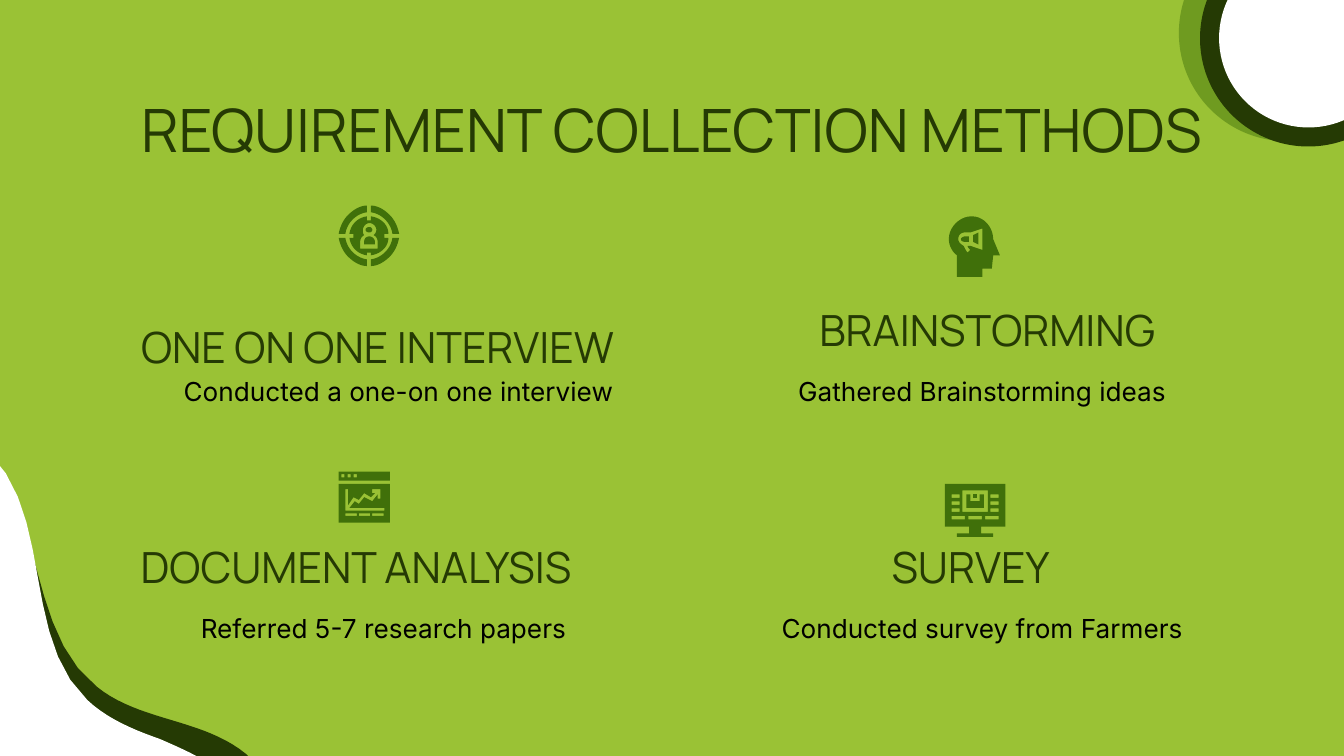
"""Build the slide on requirement collection methods."""
from dataclasses import dataclass

from lxml import etree
from pptx import Presentation
from pptx.dml.color import RGBColor
from pptx.enum.shapes import MSO_SHAPE
from pptx.enum.text import MSO_ANCHOR, PP_ALIGN
from pptx.oxml.ns import qn
from pptx.util import Cm, Pt

OVAL = MSO_SHAPE.OVAL
TOP, BOTTOM = MSO_ANCHOR.TOP, MSO_ANCHOR.BOTTOM
CENTER = PP_ALIGN.CENTER
GRID = Cm(0.0254)
STEPS = 10


@dataclass(frozen=True)
class Theme:
    """Colours, fonts and type sizes."""
    lime: str = "9AC235"
    leaf: str = "40700A"
    dark: str = "253A04"
    white: str = "FFFFFF"
    black: str = "000000"
    head: str = "Manrope"
    body: str = "Inter"
    title: int = 32
    label: int = 23
    note: int = 14


def bar(x, y, w, h):
    """Return the corners of a rectangle."""
    return [(x, y), (x + w, y), (x + w, y + h), (x, y + h)]


def trace(path):
    """Turn points and cubic curves parted by semicolons into corners."""
    spots = []
    for part in path.split(";"):
        nums = [float(n) for n in part.split()]
        ends = list(zip(nums[::2], nums[1::2]))
        if len(ends) == 1:
            spots += ends
            continue
        pulls = [spots[-1], *ends]
        for step in range(1, STEPS + 1):
            t = step / STEPS
            mix = ((1 - t) ** 3, 3 * t * (1 - t) ** 2, 3 * t * t * (1 - t), t ** 3)
            spots.append(tuple(sum(m * p[i] for m, p in zip(mix, pulls)) for i in (0, 1)))
    return spots


def write(box, text, font, size, color, anchor=TOP):
    """Put one centred line of formatted text in a box."""
    frame = box.text_frame
    frame.word_wrap = True
    frame.vertical_anchor = anchor
    frame.margin_left = frame.margin_right = Cm(0.25)
    frame.margin_top = frame.margin_bottom = Cm(0.25)
    para = frame.paragraphs[0]
    para.alignment = CENTER
    run = para.add_run()
    run.text = text
    run.font.name, run.font.size = font, Pt(size)
    run.font.color.rgb = RGBColor.from_string(color)


class Deck:
    """Hold the theme and the current slide."""

    def __init__(self, theme):
        """Open a file with one blank slide."""
        self.theme = theme
        self.file = Presentation()
        self.file.slide_width, self.file.slide_height = Cm(25.4), Cm(14.29)
        self.slide = self.file.slides.add_slide(self.file.slide_layouts[6])
        self.paint(self.slide.background.fill, theme.lime)

    def paint(self, fill, color):
        """Set a solid fill."""
        fill.solid()
        fill.fore_color.rgb = RGBColor.from_string(color)

    def finish(self, shape, color):
        """Give a shape a flat fill with no line or shadow."""
        shape.shadow.inherit = False
        shape.line.fill.background()
        self.paint(shape.fill, color)
        return shape

    def text(self, x, y, w, h, text, **style):
        """Add a text box."""
        box = self.slide.shapes.add_textbox(Cm(x), Cm(y), Cm(w), Cm(h))
        write(box, text, **style)

    def disc(self, x, y, size, color, alpha=100):
        """Add a circle, see-through if alpha is below 100."""
        disc = self.slide.shapes.add_shape(OVAL, Cm(x), Cm(y), Cm(size), Cm(size))
        self.finish(disc, color)
        if alpha < 100:
            tint = next(disc.fill._xPr.iter(qn("a:srgbClr")))
            etree.SubElement(tint, qn("a:alpha")).set("val", str(alpha * 1000))

    def outline(self, home, loops, color):
        """Add one freeform whose inner loops are holes."""
        pen = None
        for loop in loops:
            spots = [(x * GRID, y * GRID) for x, y in loop]
            if pen is None:
                pen = home.build_freeform(*spots[0])
            else:
                pen.move_to(*spots[0])
            pen.add_line_segments(spots[1:], close=True)
        self.finish(pen.convert_to_shape(), color)

    def group(self, parts, colors):
        """Add a group of freeforms."""
        home = self.slide.shapes.add_group_shape().shapes
        for loops, color in zip(parts, colors):
            self.outline(home, loops, color)

    def icon(self, parts):
        """Add a group of freeforms in the leaf colour."""
        self.group(parts, [self.theme.leaf] * len(parts))


def waves():
    """Return the dark and white waves of the lower left corner."""
    dark = ("-49 318; -77 312 -109 320 -128 342; -151 300; -173 379 -187 461 -193 544;"
            "-195 569 -195 597 -179 616; -168 631 -151 637 -133 641; -125 643 -116 645 -108 646;"
            "-28 654 52 656 132 649; 158 647 189 641 199 616; 207 598 198 575 183 561;"
            "167 548 148 542 128 536; 108 530 88 524 72 511; 19 470 35 377 -17 334;"
            "-26 326 -37 321 -49 318")
    white = ("-39 318; -66 310 -99 315 -120 335; -138 291; -168 368 -189 448 -202 530;"
             "-206 555 -209 582 -195 604; -185 619 -169 627 -151 632; -143 635 -134 637 -126 639;"
             "-48 655 33 663 113 663; 139 664 170 660 182 637; 192 619 185 596 171 581;"
             "157 566 137 558 119 550; 99 543 80 535 65 521; 16 475 40 384 -8 337;"
             "-16 328 -27 322 -39 318")
    return [[trace(dark)], [trace(white)]]


def chart():
    """Return the browser window with a line chart."""
    dots = [bar(254 + 4.6 * i, 353, 2.3, 2.3) for i in range(3)]
    feet = [bar(257 + 10 * i, 382, 8.5, 2) for i in range(3)]
    line = trace("259 364; 259 376; 263 370; 267 372; 271 367; 276 370; 279 367; 277 367;"
                 "277 364; 283 364; 283 371; 281 371; 281 368; 277 373; 271 370; 267 375;"
                 "264 373; 260 378; 286 378; 286 380; 257 380; 257 364")
    return [[bar(252, 351, 38, 6.7), *dots], [bar(252, 360, 38, 29), line, *feet]]


def target():
    """Return the person within a target."""
    head = trace("275 169; 273 169 272 170 272 171; 272 172 273 173 275 173;"
                 "276 173 277 172 277 171; 277 170 276 169 275 169")
    chest = trace("275 176; 272 176 271 178 271 180; 271 182; 279 182; 279 180;"
                  "279 178 277 176 275 176")
    hole = trace("275 166; 277 166 280 168 280 171; 280 173 279 174 278 175;"
                 "280 176 281 178 281 180; 281 185; 268 185; 268 180; 268 178 269 176 271 175;"
                 "270 174 270 173 270 171; 270 169 272 166 275 166")
    ring = trace("273 161; 266 162 261 167 260 174; 263 174; 263 177; 260 177;"
                 "261 184 266 189 273 190; 273 188; 276 188; 276 190; 283 189 289 184 289 177;"
                 "286 177; 286 174; 289 174; 289 167 283 162 276 161; 276 164; 273 164")
    arc = trace("273 153; 268 153 263 156 259 160; 255 164 253 169 252 174; 257 174;"
                "258 166 265 159 273 158")
    arcs = [[[(549 - x if right else x, 351 - y if low else y) for x, y in arc]]
            for right in (True, False) for low in (True, False)]
    return [[head], [chest], [ring, hole], *arcs]


def screen():
    """Return the monitor with a parcel and lists."""
    parcel = trace("719 368; 719 378; 732 378; 732 368; 729 368; 729 373; 722 373; 722 368")
    case = trace("703 360; 703 392; 721 392; 721 397; 712 397; 712 399.5; 739 399.5; 739 397;"
                 "730 397; 730 392; 748 392; 748 360")
    rows = [bar(x, 368 + 5.2 * i, 6, 2.5) for x in (708, 737) for i in range(3)]
    feet = [bar(708 + 12.5 * i, 384, 10, 2.5) for i in range(3)]
    return [[parcel], [bar(724, 368, 3, 2.5)], [case, bar(716, 365, 19, 16), *rows, *feet]]


def mind():
    """Return the head with a megaphone."""
    grip = trace("718 176; 717 176 715 177 715 178; 715 179 716 180 718 180; 721 180; 721 176")
    hole = trace("731 170; 731 186; 722 183; 720 183; 720 184 721 185 722 186; 720 188;"
                 "719 187 718 185 717 183; 715 182 713 180 713 178; 713 175 715 173 718 173;"
                 "722 173")
    face = trace("723 161; 714 161 706 169 706 178; 706 182 708 187 712 190; 712 206; 731 206;"
                 "731 200; 738 200; 739 190; 744 190; 739 178; 739 169 732 161 723 161")
    horn = trace("728 173; 724 175; 724 180; 728 182")
    return [[grip], [face, hole], [horn]]


def main():
    """Draw the slide and save it."""
    theme = Theme()
    deck = Deck(theme)
    deck.group(waves(), (theme.dark, theme.white))
    deck.disc(22.28, -1.42, 4.09, theme.leaf, alpha=47)
    deck.disc(22.68, -1.32, 4.09, theme.dark)
    deck.disc(23.04, -0.97, 3.38, theme.white)

    head = {"font": theme.head, "color": theme.dark}
    label = {**head, "size": theme.label, "anchor": BOTTOM}
    note = {"font": theme.body, "color": theme.black, "size": theme.note}
    deck.text(0.84, 1.5, 23.72, 1.6, "REQUIREMENT COLLECTION METHODS", size=theme.title, **head)
    cards = (
        (5.82, "ONE ON ONE INTERVIEW", 2.18, 9.93, 1.47,
         "Conducted a one-on one interview", 2.95, 9.17),
        (5.82, "BRAINSTORMING", 13.28, 10.77, 1.14,
         "Gathered Brainstorming ideas", 13.28, 10.57),
        (10.31, "DOCUMENT ANALYSIS", 1.35, 10.77, 1.14,
         "Referred 5-7 research papers", 2.41, 9.68),
        (10.31, "SURVEY", 13.28, 10.13, 1.14,
         "Conducted survey from Farmers", 13.28, 10.57),
    )
    for y, name, left, wide, high, line, x, w in cards:
        deck.text(x, y + 1.02, w, 1.47, line, **note)
        deck.text(left, y, wide, high, name, **label)
    for parts in (chart(), target(), screen(), mind()):
        deck.icon(parts)
    deck.file.save("out.pptx")


if __name__ == "__main__":
    main()
